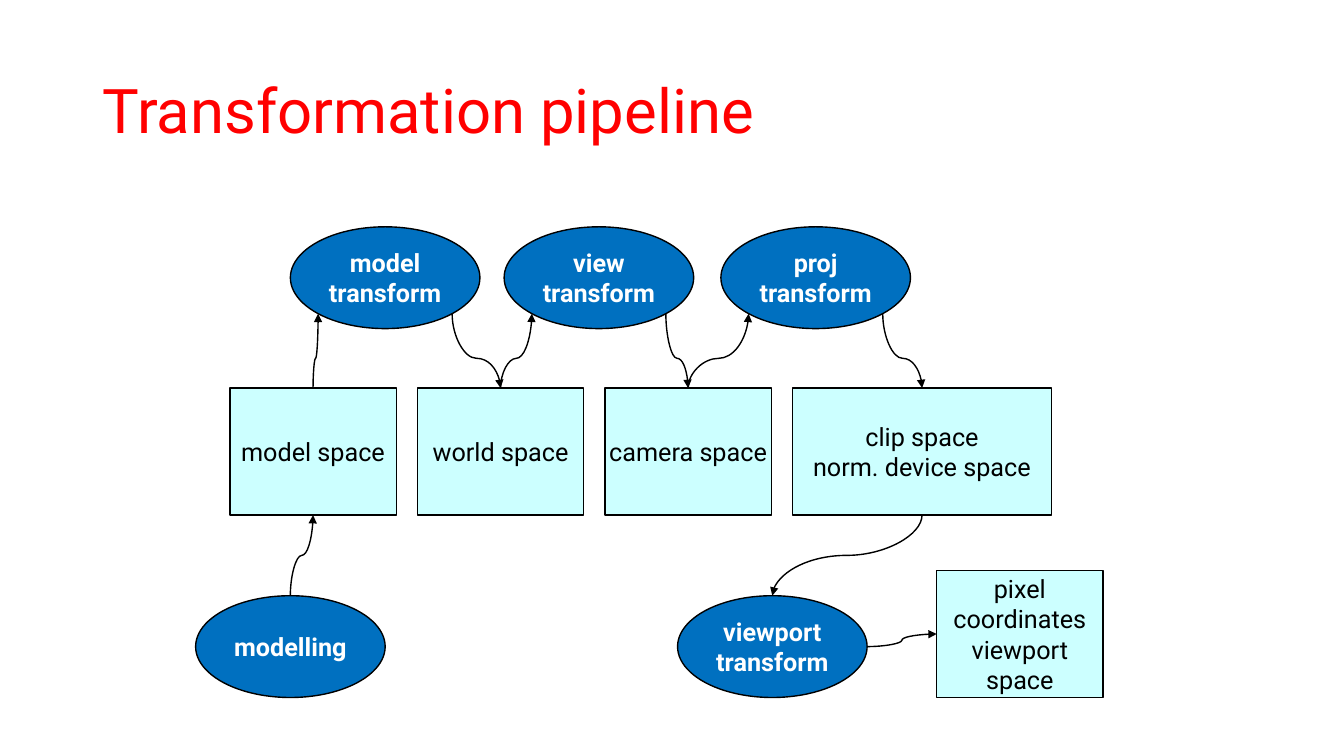
from dataclasses import dataclass
from math import sqrt

from lxml import etree
from pptx import Presentation
from pptx.dml.color import RGBColor
from pptx.enum import shapes, text
from pptx.oxml import ns
from pptx.slide import Slide
from pptx.util import Inches, Pt


@dataclass(frozen=True)
class Theme:
    font: str = "Roboto"
    title_size: int = 44
    label_size: int = 18
    title: RGBColor = RGBColor(0xFF, 0x00, 0x00)
    step_fill: RGBColor = RGBColor(0x00, 0x70, 0xC0)
    step_text: RGBColor = RGBColor(0xFF, 0xFF, 0xFF)
    space_fill: RGBColor = RGBColor(0xCC, 0xFF, 0xFF)
    space_text: RGBColor = RGBColor(0x00, 0x00, 0x00)
    line: RGBColor = RGBColor(0x00, 0x00, 0x00)
    line_width: float = 1


THEME = Theme()

# Joining sites as fractions of a node's width and height
DIAGONAL = sqrt(0.5) / 2
SITES = {
    "top": (0.5, 0), "bottom": (0.5, 1), "left": (0, 0.5), "right": (1, 0.5),
    "lower left": (0.5 - DIAGONAL, 0.5 + DIAGONAL),
    "lower right": (0.5 + DIAGONAL, 0.5 + DIAGONAL),
}


@dataclass(frozen=True)
class Node:
    label: str
    left: float
    top: float
    width: float
    height: float
    is_step: bool

    def site(self, name: str) -> tuple[float, float]:
        across, down = SITES[name]
        return self.left + across * self.width, self.top + down * self.height


@dataclass(frozen=True)
class Arrow:
    source: Node
    source_site: str
    target: Node
    target_site: str
    bend: float = 0.5


def step(label: str, left: float, top: float) -> Node:
    return Node(label, left, top, 1.88, 1.01, True)


def space(label: str, left: float, top: float, width: float = 1.65) -> Node:
    return Node(label, left, top, width, 1.26, False)


# Transforms are ellipses, coordinate spaces are boxes
STEP_TOP, SPACE_TOP, LOWER_TOP = 2.25, 3.85, 5.91
SPACE_LEFT, SPACE_PITCH = 2.28, 1.86

model_step = step("model\ntransform", 2.88, STEP_TOP)
view_step = step("view\ntransform", 5, STEP_TOP)
proj_step = step("proj\ntransform", 7.15, STEP_TOP)
modelling = step("modelling", 1.94, LOWER_TOP)
viewport_step = step("viewport\ntransform", 6.72, LOWER_TOP)

model_space, world_space, camera_space, clip_space = [
    space(label, SPACE_LEFT + i * SPACE_PITCH, SPACE_TOP, width)
    for i, (label, width) in enumerate([
        ("model space", 1.65), ("world space", 1.65), ("camera space", 1.65),
        ("clip space\nnorm. device space", 2.57)])
]
pixel_space = space("pixel\ncoordinates\nviewport\nspace", 9.29, 5.66)

NODES = [model_step, view_step, proj_step, modelling, viewport_step,
         model_space, world_space, camera_space, clip_space, pixel_space]

# Each transform takes one space to the next
UP_BEND, DOWN_BEND = 0.4, 0.6
ARROWS = [Arrow(modelling, "top", model_space, "bottom")]
for before, transform, after in [(model_space, model_step, world_space),
                                 (world_space, view_step, camera_space),
                                 (camera_space, proj_step, clip_space)]:
    ARROWS += [Arrow(before, "top", transform, "lower left", UP_BEND),
               Arrow(transform, "lower right", after, "top", DOWN_BEND)]
ARROWS += [Arrow(clip_space, "bottom", viewport_step, "top"),
           Arrow(viewport_step, "right", pixel_space, "left")]


def draw_title(slide: Slide, title: str) -> None:
    box = slide.shapes.add_textbox(Inches(0.92), Inches(0.4), Inches(11.5), Inches(1.45))
    frame = box.text_frame
    frame.word_wrap = True
    frame.vertical_anchor = text.MSO_ANCHOR.MIDDLE
    frame.text = title
    paragraph = frame.paragraphs[0]
    paragraph.line_spacing = 0.9
    paragraph.font.name = THEME.font
    paragraph.font.size = Pt(THEME.title_size)
    paragraph.font.color.rgb = THEME.title


def draw_node(slide: Slide, node: Node) -> None:
    kind = shapes.MSO_SHAPE.OVAL if node.is_step else shapes.MSO_SHAPE.RECTANGLE
    shape = slide.shapes.add_shape(kind, Inches(node.left), Inches(node.top),
                                   Inches(node.width), Inches(node.height))
    shape.shadow.inherit = False
    shape.fill.solid()
    shape.fill.fore_color.rgb = THEME.step_fill if node.is_step else THEME.space_fill
    shape.line.color.rgb = THEME.line
    shape.line.width = Pt(THEME.line_width)
    frame = shape.text_frame
    frame.word_wrap = False
    frame.vertical_anchor = text.MSO_ANCHOR.MIDDLE
    frame.text = node.label
    for paragraph in frame.paragraphs:
        paragraph.alignment = text.PP_ALIGN.CENTER
        paragraph.font.name = THEME.font
        paragraph.font.size = Pt(THEME.label_size)
        paragraph.font.bold = node.is_step
        paragraph.font.color.rgb = THEME.step_text if node.is_step else THEME.space_text


def draw_arrow(slide: Slide, arrow: Arrow) -> None:
    x1, y1 = arrow.source.site(arrow.source_site)
    x2, y2 = arrow.target.site(arrow.target_site)
    rotation = 0
    if arrow.target_site != "left":
        # A curve that leaves vertically is a horizontal one, turned about its centre
        rotation = 90 if y2 > y1 and x2 < x1 else 270
        turn = 1 if rotation == 90 else -1
        middle_x, middle_y = (x1 + x2) / 2, (y1 + y2) / 2
        half_x, half_y = turn * (y2 - y1) / 2, turn * (x1 - x2) / 2
        x1, x2 = middle_x - half_x, middle_x + half_x
        y1, y2 = middle_y - half_y, middle_y + half_y
    curve = slide.shapes.add_connector(shapes.MSO_CONNECTOR.CURVE, Inches(x1), Inches(y1),
                                       Inches(x2), Inches(y2))
    curve.line.color.rgb = THEME.line
    curve.line.width = Pt(THEME.line_width)

    # Turn, bend, arrowhead and no shadow
    properties = curve._element.spPr
    if rotation:
        properties.find(ns.qn("a:xfrm")).set("rot", str(rotation * 60000))
    adjustments = properties.find(ns.qn("a:prstGeom")).get_or_add_avLst()
    etree.SubElement(adjustments, ns.qn("a:gd"), name="adj1",
                     fmla=f"val {round(arrow.bend * 100000)}")
    etree.SubElement(properties.find(ns.qn("a:ln")), ns.qn("a:tailEnd"), type="triangle")
    etree.SubElement(properties, ns.qn("a:effectLst"))


def main() -> None:
    presentation = Presentation()
    presentation.slide_width, presentation.slide_height = Inches(13.33), Inches(7.5)
    slide = presentation.slides.add_slide(presentation.slide_layouts[6])
    draw_title(slide, "Transformation pipeline")
    for node in NODES:
        draw_node(slide, node)
    for arrow in ARROWS:
        draw_arrow(slide, arrow)
    presentation.save("out.pptx")


if __name__ == "__main__":
    main()
